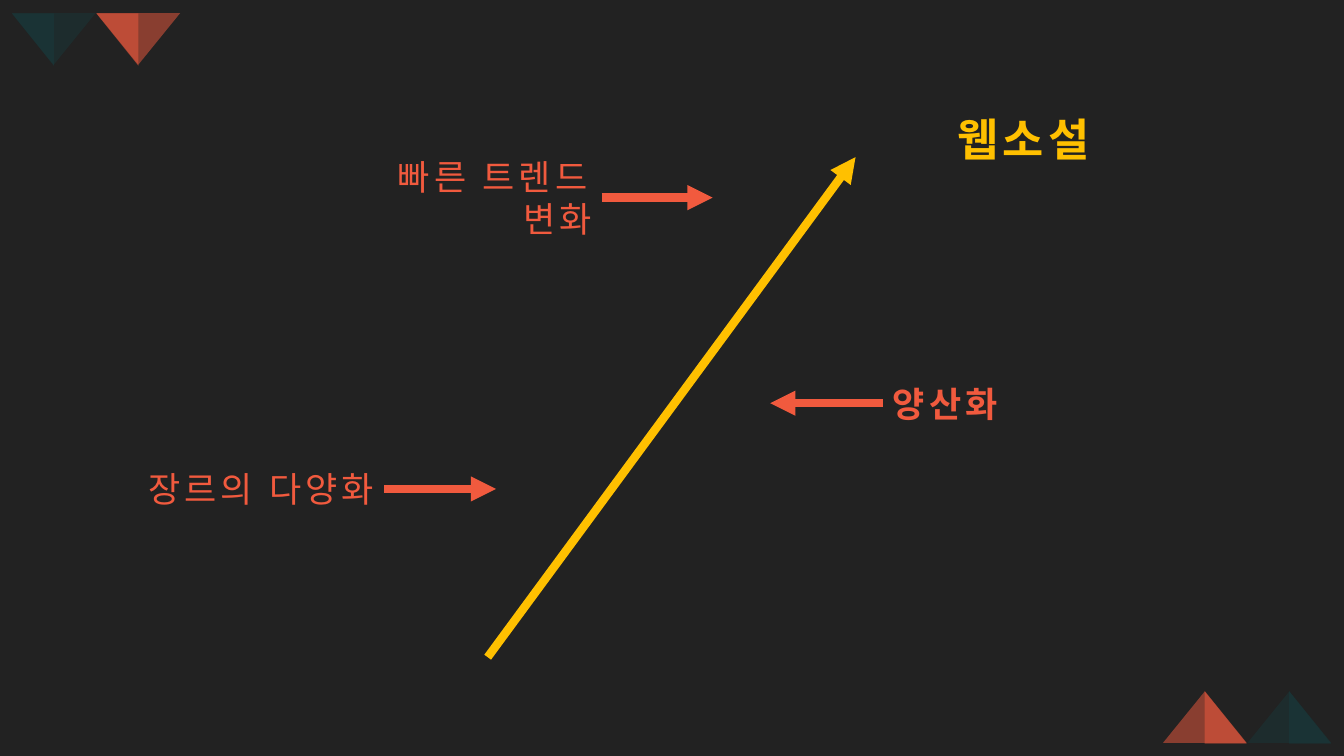
from lxml.etree import SubElement
from pptx import Presentation
from pptx.dml.color import RGBColor
from pptx.enum.shapes import MSO_CONNECTOR, MSO_SHAPE
from pptx.enum.text import MSO_ANCHOR, MSO_AUTO_SIZE, PP_ALIGN
from pptx.oxml.ns import qn
from pptx.util import Cm, Pt

COLORS = {"night": "222222", "coral": "F15A3E", "teal": "193739", "gold": "FFC000"}
FONT = "Roboto"

# Content (lengths in cm)
TITLE = ("웹소설", (23.62, 2.69, 4.34, 1.63))
# text, left, top, width, bold, alignment, connected side, arrow tip x
LABELS = [
    ("양산화", 22.25, 9.5, 7.11, True, PP_ALIGN.LEFT, 1, 19.41),
    ("빠른 트렌드 변화", 7.87, 4.32, 7.29, False, PP_ALIGN.RIGHT, 3, 17.96),
    ("장르의 다양화", 2.39, 11.66, 7.29, False, PP_ALIGN.RIGHT, 3, 12.5),
]
LABEL_HEIGHT = 1.32
GROWTH_ARROW = (12.29, 16.56, 21.56, 3.96)

# Corner ornaments: left, top, top of the shaded half, rotation, colours in order
CORNERS = [
    (0.3, 0.33, 0.34, 180, ("teal", "coral")),
    (29.31, 17.42, 17.42, 0, ("coral", "teal")),
]
PEAK_WIDTH, PEAK_HEIGHT, PEAK_STEP = 2.11, 1.3, 2.13
HALF_WIDTH, HALF_HEIGHT = 1.06, 1.32
HALF_ALPHA = {"coral": 50, "teal": 70}


def rgb(name):
    return RGBColor.from_string(COLORS[name])


def add_peak(page, kind, bounds, rotation, color, alpha):
    shape = page.shapes.add_shape(kind, *map(Cm, bounds))
    shape.rotation = rotation
    shape.shadow.inherit = False
    shape.line.fill.background()
    shape.fill.solid()
    shape.fill.fore_color.rgb = rgb(color)
    fill = shape.fill._xPr.find(qn("a:solidFill"))
    SubElement(fill[0], qn("a:alpha"), val=str(alpha * 1000))


def add_arrow(page, ends, color):
    arrow = page.shapes.add_connector(MSO_CONNECTOR.STRAIGHT, *map(Cm, ends))
    arrow.line.color.rgb = rgb(color)
    arrow.line.width = Pt(6)
    SubElement(arrow.line._get_or_add_ln(), qn("a:tailEnd"), type="triangle")
    SubElement(arrow._element.spPr, qn("a:effectLst"))
    return arrow


def format_text(box, text, size, color, bold, alignment):
    frame = box.text_frame
    frame.text = text
    frame.word_wrap = True
    frame.auto_size = MSO_AUTO_SIZE.SHAPE_TO_FIT_TEXT
    frame.vertical_anchor = MSO_ANCHOR.MIDDLE
    para = frame.paragraphs[0]
    para.alignment = alignment
    span = para.runs[0]
    span.font.name = FONT
    span.font.size = Pt(size)
    span.font.bold = bold
    span.font.color.rgb = rgb(color)
    span.font._element.set("spc", "300")


def main():
    deck = Presentation()
    deck.slide_width, deck.slide_height = Cm(33.87), Cm(19.05)
    page = deck.slides.add_slide(deck.slide_layouts[5])
    page.background.fill.solid()
    page.background.fill.fore_color.rgb = rgb("night")

    # Corner ornaments
    for left, top, half_top, rotation, names in CORNERS:
        for index, name in enumerate(names):
            x = left + index * PEAK_STEP
            half_x = x if rotation else x + PEAK_WIDTH - HALF_WIDTH
            add_peak(page, MSO_SHAPE.ISOSCELES_TRIANGLE,
                     (x, top, PEAK_WIDTH, PEAK_HEIGHT), rotation, name, 50)
            add_peak(page, MSO_SHAPE.RIGHT_TRIANGLE,
                     (half_x, half_top, HALF_WIDTH, HALF_HEIGHT),
                     rotation, name, HALF_ALPHA[name])

    # Growth arrow and title
    add_arrow(page, GROWTH_ARROW, "gold")
    text, bounds = TITLE
    title = page.shapes.title
    title.left, title.top, title.width, title.height = map(Cm, bounds)
    format_text(title, text, 32, "gold", True, PP_ALIGN.CENTER)

    # Labels, each with an arrow from its side
    for text, left, top, width, bold, alignment, side, tip in LABELS:
        box = page.shapes.add_textbox(*map(Cm, (left, top, width, LABEL_HEIGHT)))
        format_text(box, text, 25, "coral", bold, alignment)
        start = left if side == 1 else left + width
        middle = top + LABEL_HEIGHT / 2
        arrow = add_arrow(page, (start, middle, tip, middle), "coral")
        arrow.begin_connect(box, side)

    deck.save("out.pptx")


if __name__ == "__main__":
    main()
